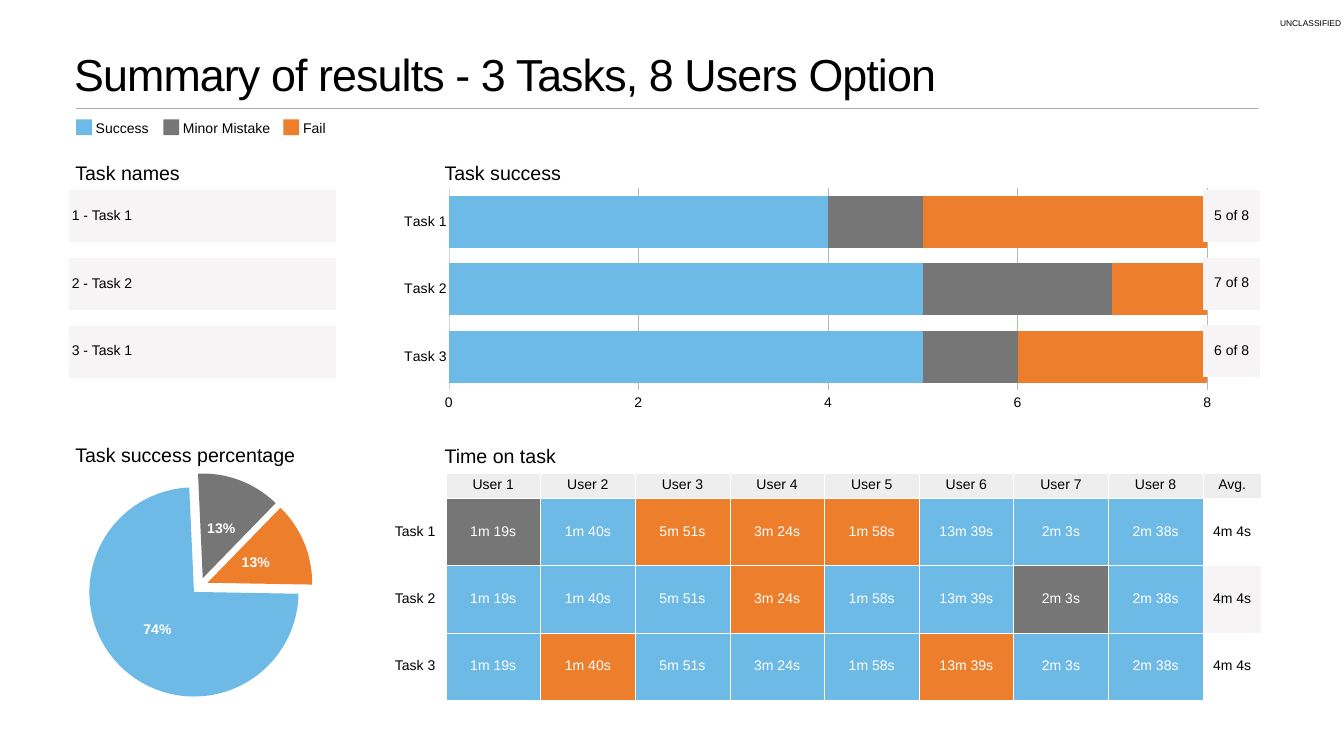
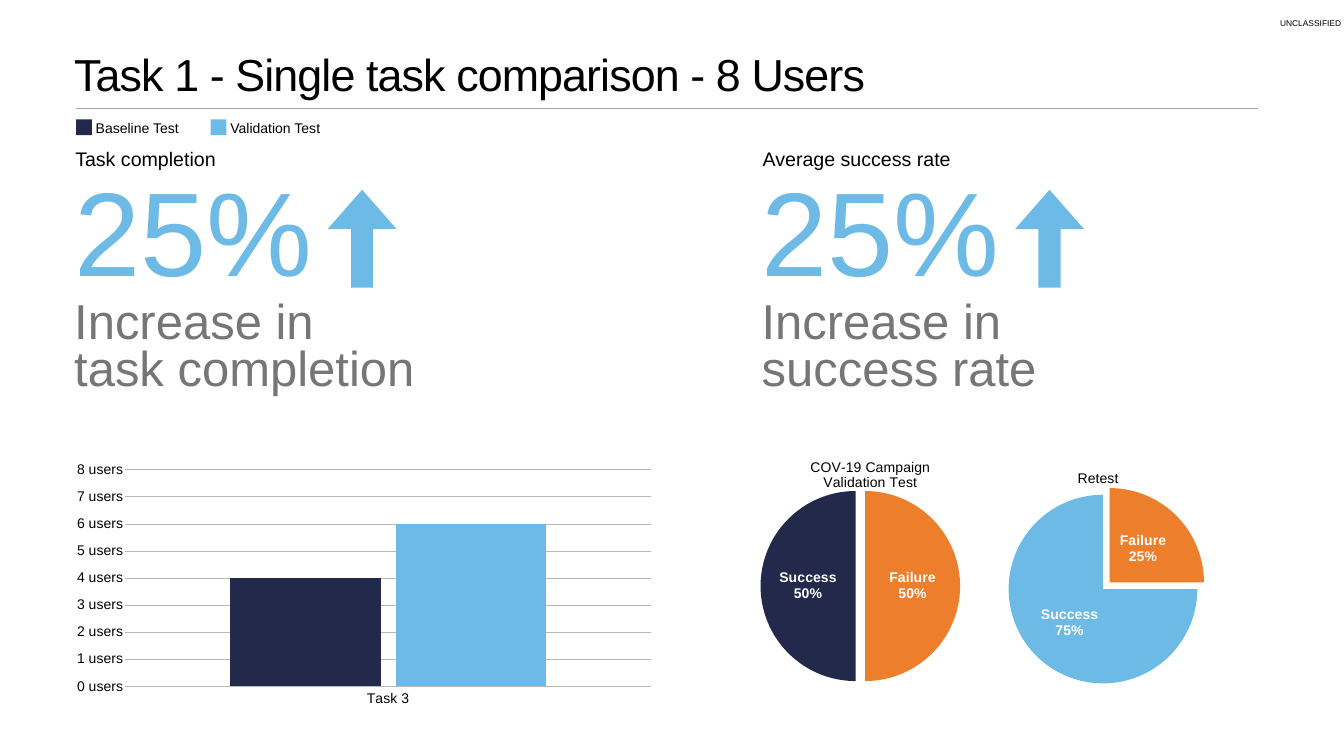
from lxml import etree
from pptx import Presentation
from pptx.chart.data import CategoryChartData
from pptx.dml.color import RGBColor
from pptx.enum.chart import (XL_CHART_TYPE, XL_LABEL_POSITION, XL_TICK_LABEL_POSITION,
                             XL_TICK_MARK)
from pptx.enum.shapes import MSO_CONNECTOR, MSO_SHAPE
from pptx.enum.text import MSO_ANCHOR, PP_ALIGN
from pptx.oxml.ns import qn
from pptx.util import Pt

FONT = "Arial"
COLORS = {
    "text": "000000", "white": "FFFFFF", "success": "6DBAE6", "mistake": "767676",
    "fail": "ED7E2B", "baseline": "22294A", "rule": "A6AAA9", "grid": "B8B8B8",
    "axis": "D5D5D5", "header": "EEEEEE", "card": "F6F4F4",
}
NO_STYLE_TABLE = "{2D5ABB26-0587-4C30-8999-92F81FD0307C}"
USERS = 8
TIMES = ["1m 19s", "1m 40s", "5m 51s", "3m 24s", "1m 58s", "13m 39s", "2m 3s", "2m 38s"]
OUTCOMES = ["MSFFFSSS", "SSSFSSMS", "SFSSSFSS"]
OUTCOME_COLORS = {"S": "success", "M": "mistake", "F": "fail"}
TASKS = ["Task 1", "Task 2", "Task 3"]


def rgb(color):
    return RGBColor.from_string(COLORS[color])


def style_font(font, size, color="text", bold=False):
    font.name, font.size, font.bold = FONT, Pt(size), bold
    font.color.rgb = rgb(color)


def add_run(paragraph, text, size, color="text"):
    run = paragraph.add_run()
    run.text = text
    style_font(run.font, size, color)
    return run


def add_text_frame(slide, box, anchor=MSO_ANCHOR.TOP, inset=4):
    frame = slide.shapes.add_textbox(*map(Pt, box)).text_frame
    frame.word_wrap = True
    frame.vertical_anchor = anchor
    frame.margin_left = frame.margin_right = Pt(inset)
    frame.margin_top = frame.margin_bottom = Pt(inset)
    return frame


def add_heading(slide, left, top, width, text):
    frame = add_text_frame(slide, (left, top, width, 43), inset=3.6)
    add_run(frame.paragraphs[0], text, 28)


def add_slide(presentation, title):
    """Add a slide with the marking, title and rule that all slides share."""
    slide = presentation.slides.add_slide(presentation.slide_layouts[6])

    marking = add_text_frame(slide, (0, 0, 1920, 67), MSO_ANCHOR.MIDDLE).paragraphs[0]
    marking.alignment = PP_ALIGN.RIGHT
    marking.line_spacing = 0.9
    add_run(marking, "UNCLASSIFIED", 12)

    heading = add_text_frame(slide, (102, 78, 1698, 99)).paragraphs[0]
    heading.line_spacing = 0.8
    run = add_run(heading, title, 64)
    run._r.get_or_add_rPr().set("spc", "-128")

    rule = slide.shapes.add_connector(
        MSO_CONNECTOR.STRAIGHT, Pt(108.7), Pt(154.8), Pt(1797.8), Pt(154.8))
    rule.line.color.rgb = rgb("rule")
    rule.line.width = Pt(2)
    etree.SubElement(rule._element.spPr, qn("a:effectLst"))
    return slide


def fill_shape(shape, color):
    shape.shadow.inherit = False
    shape.fill.solid()
    shape.fill.fore_color.rgb = rgb(color)
    shape.line.fill.background()


def add_legend(slide, entries):
    for left, width, label, color in entries:
        swatch = slide.shapes.add_shape(
            MSO_SHAPE.RECTANGLE, Pt(left), Pt(170.6), Pt(22.5), Pt(22.5))
        fill_shape(swatch, color)
        frame = add_text_frame(slide, (left + 24, 172, width, 20), MSO_ANCHOR.MIDDLE)
        add_run(frame.paragraphs[0], label, 20)


def add_plain_table(slide, left, top, widths, heights):
    size = map(Pt, (left, top, sum(widths), sum(heights)))
    table = slide.shapes.add_table(len(heights), len(widths), *size).table
    table.first_row = table.horz_banding = False
    table._tbl.tblPr.find(qn("a:tableStyleId")).text = NO_STYLE_TABLE
    for column, width in zip(table.columns, widths):
        column.width = Pt(width)
    for row, height in zip(table.rows, heights):
        row.height = Pt(height)
    return table


def set_borders(cell, color, width):
    properties = cell._tc.get_or_add_tcPr()
    for side in ("lnL", "lnR", "lnT", "lnB"):
        line = etree.SubElement(properties, qn(f"a:{side}"), w=str(Pt(width)))
        solid = etree.SubElement(line, qn("a:solidFill"))
        etree.SubElement(solid, qn("a:srgbClr"), val=COLORS[color])


def fill_cell(cell, text="", fill=None, color="text", centered=True, inset=4):
    cell.vertical_anchor = MSO_ANCHOR.MIDDLE
    cell.margin_left = cell.margin_right = Pt(inset)
    cell.margin_top = cell.margin_bottom = Pt(inset)
    if fill:
        cell.fill.solid()
        cell.fill.fore_color.rgb = rgb(fill)
    else:
        cell.fill.background()
    if text:
        paragraph = cell.text_frame.paragraphs[0]
        paragraph.line_spacing = 0.9
        paragraph.alignment = PP_ALIGN.CENTER if centered else PP_ALIGN.LEFT
        add_run(paragraph, text, 20, color)


def add_card_column(slide, left, top, width, labels, centered):
    """Add a one-column table of tinted cards with clear gap rows."""
    table = add_plain_table(slide, left, top, [width], [74, 22.7] * len(labels))
    for index, label in enumerate(labels):
        fill_cell(table.cell(2 * index, 0), label, "card", centered=centered)
        fill_cell(table.cell(2 * index + 1, 0), inset=0)


def add_time_table(slide):
    widths = [77] + [135.2] * USERS + [83.5]
    table = add_plain_table(slide, 560, 675.5, widths, [36.7] + [96] * len(TASKS))
    for row in range(len(TASKS) + 1):
        for column in range(1, USERS + 2):
            set_borders(table.cell(row, column), "white", 0.75)

    fill_cell(table.cell(0, 0))
    headers = [f"User {number}" for number in range(1, USERS + 1)] + ["Avg."]
    for column, header in enumerate(headers, 1):
        fill_cell(table.cell(0, column), header, "header")

    for row, (task, outcomes) in enumerate(zip(TASKS, OUTCOMES), 1):
        fill_cell(table.cell(row, 0), task, centered=False)
        for column, (time, outcome) in enumerate(zip(TIMES, outcomes), 1):
            fill_cell(table.cell(row, column), time, OUTCOME_COLORS[outcome], "white", inset=3)
        average_fill = "card" if row == 2 else None
        fill_cell(table.cell(row, USERS + 1), "4m 4s", average_fill, inset=3)


def set_layout(parent, index, settings):
    """Give a chart part a manual layout, as its child number index."""
    for old_layout in parent.findall(qn("c:layout")):
        parent.remove(old_layout)
    layout = etree.Element(qn("c:layout"))
    parent.insert(index, layout)
    manual = etree.SubElement(layout, qn("c:manualLayout"))
    for tag, value in settings:
        etree.SubElement(manual, qn(f"c:{tag}"), val=str(value))


def add_chart(slide, kind, box, categories, series, layout):
    """Add a chart; layout is the inner plot area as fractions of the frame."""
    data = CategoryChartData()
    data.categories = categories
    for number, values in enumerate(series, 1):
        data.add_series(f"Series {number}", values)
    chart = slide.shapes.add_chart(kind, *map(Pt, box), data).chart
    chart.has_legend = chart.has_title = False
    style_font(chart.font, 20)
    chart.plots[0].vary_by_categories = False
    set_layout(chart._chartSpace.chart.plotArea, 0,
               [("layoutTarget", "inner"), ("xMode", "edge"), ("yMode", "edge"),
                *zip("xywh", layout)])
    return chart


def fill_format(part, color):
    part.format.fill.solid()
    part.format.fill.fore_color.rgb = rgb(color)


def add_bar_chart(slide, kind, box, categories, series, colors, layout, gap, overlap,
                  number_format, unit):
    chart = add_chart(slide, kind, box, categories, series, layout)
    plot = chart.plots[0]
    plot.gap_width, plot.overlap = gap, overlap
    for bar_series, color in zip(plot.series, colors):
        fill_format(bar_series, color)

    values = chart.value_axis
    values.minimum_scale, values.maximum_scale, values.major_unit = 0, USERS, unit
    values.tick_labels.number_format = number_format
    values.tick_labels.number_format_is_linked = False
    values.format.line.fill.background()
    values.has_major_gridlines = True
    values.major_gridlines.format.line.color.rgb = rgb("grid")
    values.major_gridlines.format.line.width = Pt(0.5)
    for axis in (values, chart.category_axis):
        axis.major_tick_mark = axis.minor_tick_mark = XL_TICK_MARK.NONE
        style_font(axis.tick_labels.font, 20)
    return chart


def add_pie(slide, box, categories, values, colors, layout, explosion, named=False, start=0):
    chart = add_chart(slide, XL_CHART_TYPE.PIE, box, categories, [values], layout)
    plot = chart.plots[0]
    series = plot.series[0]
    fill_format(series, colors[0])
    spread = etree.Element(qn("c:explosion"), val=str(explosion))
    series._element.find(qn("c:spPr")).addnext(spread)
    for index, color in enumerate(colors):
        fill_format(series.points[index], color)

    labels = series.data_labels
    labels.show_value = False
    labels.show_percentage = True
    labels.show_category_name = named
    labels.number_format, labels.number_format_is_linked = "0%", False
    labels.position = XL_LABEL_POSITION.CENTER
    style_font(labels.font, 20, "white", bold=True)
    if named:
        separator = etree.Element(qn("c:separator"))
        separator.text = "\n"
        labels._element.find(qn("c:showBubbleSize")).addnext(separator)
    if start:
        etree.SubElement(plot._element, qn("c:firstSliceAng"), val=str(start))
    return chart


def add_chart_title(chart, lines, left, top):
    """Title a chart at a place given as fractions of its frame."""
    title = chart.chart_title
    paragraph = title.text_frame.paragraphs[0]
    for index, line in enumerate(lines):
        if index:
            paragraph.add_line_break()
        add_run(paragraph, line, 20)
    set_layout(title._element, 1,
               [("xMode", "edge"), ("yMode", "edge"), ("x", left), ("y", top)])


def add_increase(slide, left, heading, caption):
    """Add a heading, a large percentage with an up arrow, and its caption."""
    add_heading(slide, left + 2, 207, 820, heading)
    frame = add_text_frame(slide, (left, 244, 580, 347))
    figure = frame.paragraphs[0]
    figure.line_spacing = 0.9
    add_run(figure, "25%", 170, "success")
    detail = frame.add_paragraph()
    detail.line_spacing = 0.8
    add_run(detail, "Increase in", 70, "mistake")
    detail.add_line_break()
    add_run(detail, caption, 70, "mistake")

    arrow = slide.shapes.add_shape(
        MSO_SHAPE.RIGHT_ARROW, Pt(left + 345.5), Pt(291.6), Pt(139.7), Pt(98.6))
    arrow.rotation = 270
    arrow.adjustments[0], arrow.adjustments[1] = 0.32, 0.57
    fill_shape(arrow, "success")


def build_summary(presentation):
    slide = add_slide(presentation, "Summary of results - 3 Tasks, 8 Users Option")
    add_heading(slide, 104, 226.5, 469, "Task names")
    add_heading(slide, 631.5, 226.5, 811, "Task success")
    add_heading(slide, 104, 629, 469, "Task success percentage")
    add_heading(slide, 631.5, 630, 530, "Time on task")

    chart = add_bar_chart(
        slide, XL_CHART_TYPE.BAR_STACKED, (558.6, 251.7, 1177.8, 335.5), TASKS,
        [(4, 5, 5), (1, 2, 1), (3, 1, 2)], ["success", "mistake", "fail"],
        (0.07, 0.05, 0.92, 0.87), 30, 100, "0", 2)
    chart.category_axis.reverse_order = True
    chart.value_axis.tick_label_position = XL_TICK_LABEL_POSITION.HIGH
    chart.category_axis.format.line.color.rgb = rgb("axis")
    chart.category_axis.format.line.width = Pt(0.5)

    add_time_table(slide)
    add_card_column(slide, 1718.6, 271.5, 82, ["5 of 8", "7 of 8", "6 of 8"], True)
    add_card_column(slide, 98.6, 272, 381.6, ["1 - Task 1", "2 - Task 2", "3 - Task 1"], False)
    add_pie(slide, (108, 672.5, 351.4, 326), ["1", "2", "3"], (74, 13, 13),
            ["success", "mistake", "fail"], (0.01, 0.01, 0.99, 0.99), 8, start=91)
    add_legend(slide, [(108.7, 97, "Success", "success"),
                       (233.3, 144, "Minor Mistake", "mistake"),
                       (405, 72, "Fail", "fail")])


def build_comparison(presentation):
    slide = add_slide(presentation, "Task 1 - Single task comparison - 8 Users")
    add_increase(slide, 102, "Task completion", "task completion")
    add_increase(slide, 1084, "Average success rate", "success rate")

    chart = add_bar_chart(
        slide, XL_CHART_TYPE.COLUMN_CLUSTERED, (110, 653, 820, 357), ["Task 3"],
        [(4,), (6,)], ["baseline", "success"], (0.08, 0.05, 0.92, 0.87),
        140, -10, 'General" users"', 1)
    chart.category_axis.tick_label_position = XL_TICK_LABEL_POSITION.LOW
    chart.category_axis.format.line.fill.background()

    results = ["Failure", "Success"]
    validation = add_pie(slide, (1086.5, 653, 288, 332), results, (50, 50),
                         ["fail", "baseline"], (0, 0.12, 0.99, 0.89), 5, named=True)
    add_chart_title(validation, ["COV-19 Campaign", "Validation Test"], 0.24, 0)
    retest = add_pie(slide, (1435, 663.5, 288, 318), results, (25, 75),
                     ["fail", "success"], (0.01, 0.1, 0.99, 0.89), 5, named=True)
    add_chart_title(retest, ["Retest"], 0.35, 0.01)
    add_legend(slide, [(108.7, 193, "Baseline Test", "baseline"),
                       (301, 168, "Validation Test", "success")])


def main():
    presentation = Presentation()
    presentation.slide_width, presentation.slide_height = Pt(1920), Pt(1080)
    build_summary(presentation)
    build_comparison(presentation)
    presentation.save("out.pptx")


if __name__ == "__main__":
    main()
